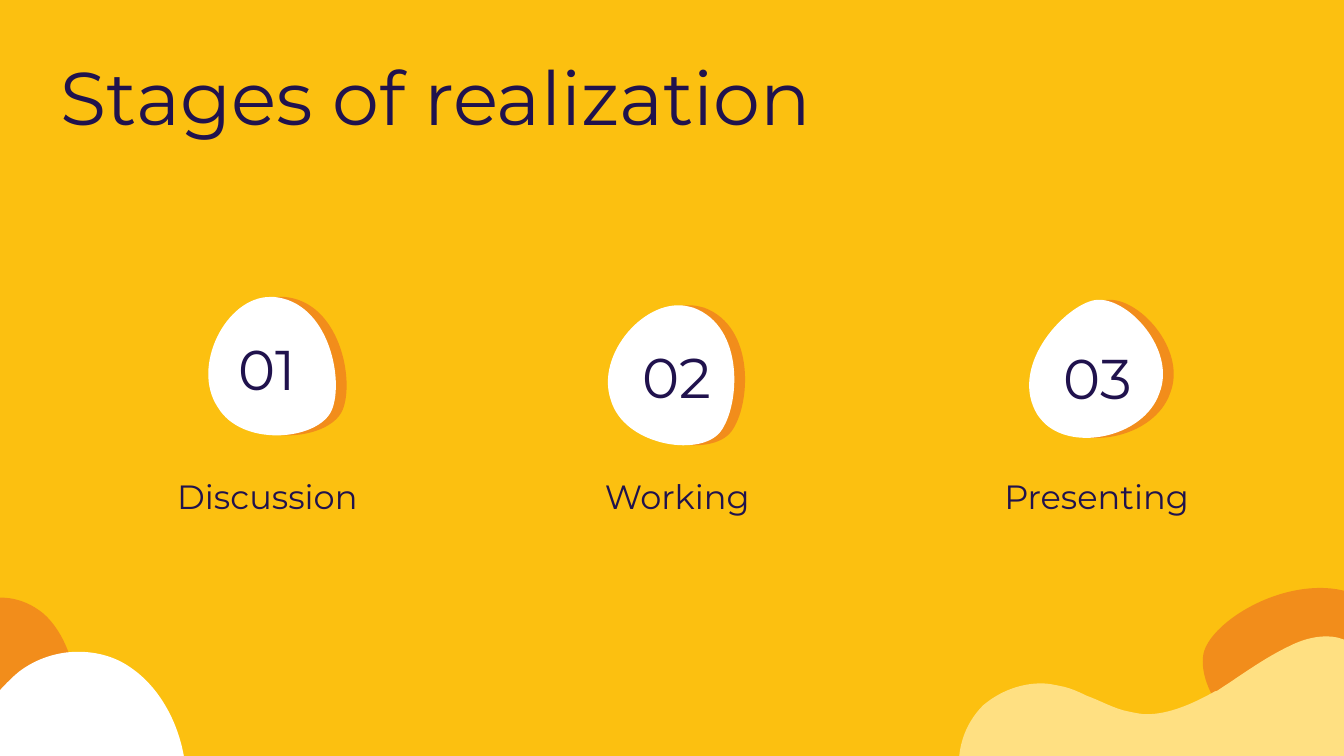
from pptx import Presentation
from pptx import util as u
from pptx.dml.color import RGBColor
from pptx.enum import text
from pptx.oxml.ns import qn

YELLOW = RGBColor(0xFC, 0xC0, 0x10)
ORANGE = RGBColor(0xF2, 0x8D, 0x1B)
CREAM = RGBColor(0xFF, 0xE0, 0x82)
WHITE = RGBColor(0xFF, 0xFF, 0xFF)
NAVY = RGBColor(0x20, 0x12, 0x4D)
FONT = "Montserrat"
WIDTH, HEIGHT = 10, 10 * 9 / 16

TITLE = "Stages of realization"
# number, label, badge centre, badge turn in degrees, number centre, label centre
STAGES = [
    ("01", "Discussion", (1.99, 2.73), 0, (1.99, 2.74), 1.99),
    ("02", "Working", (4.98, 2.78), 14.7, (5.04, 2.8), 5.04),
    ("03", "Presenting", (8.16, 2.82), 232.6, (8.17, 2.81), 8.16),
]
LABEL_MIDDLE = 3.69
BADGE_SHADE = 0.08

# Outlines: a start point, then Bezier curves of two handles and an end point.
# Blobs are measured from their centre, waves from the slide corner.
BADGE = [
    (0.02, -0.52),
    (-0.31, -0.52), (-0.57, 0), (-0.37, 0.3),
    (-0.28, 0.45), (-0.1, 0.51), (0.07, 0.51),
    (0.25, 0.51), (0.43, 0.44), (0.48, 0.32),
    (0.57, 0.1), (0.46, -0.48), (0.05, -0.52),
    (0.04, -0.52), (0.03, -0.52), (0.02, -0.52),
]
RIGHT_BLOB = [
    (0.03, -0.59),
    (-0.46, -0.59), (-0.82, -0.01), (-0.55, 0.35),
    (-0.41, 0.51), (-0.15, 0.59), (0.1, 0.59),
    (0.37, 0.59), (0.63, 0.5), (0.69, 0.37),
    (0.83, 0.11), (0.67, -0.56), (0.06, -0.59),
    (0.05, -0.59), (0.04, -0.59), (0.03, -0.59),
]
LEFT_BLOB = [
    (0.02, -0.65),
    (-0.3, -0.64), (-0.55, 0), (-0.37, 0.38),
    (-0.27, 0.57), (-0.1, 0.65), (0.06, 0.65),
    (0.24, 0.65), (0.41, 0.56), (0.46, 0.41),
    (0.55, 0.13), (0.44, -0.6), (0.04, -0.64),
    (0.03, -0.65), (0.03, -0.65), (0.02, -0.65),
]
RIGHT_WAVE = [
    (7.14, 5.65),
    (7.15, 5.5), (7.21, 5.36), (7.32, 5.25),
    (7.44, 5.15), (7.59, 5.09), (7.75, 5.09),
    (7.8, 5.09), (7.84, 5.1), (7.89, 5.11),
    (7.95, 5.12), (8.02, 5.15), (8.08, 5.18),
    (8.19, 5.22), (8.29, 5.28), (8.4, 5.3),
    (8.45, 5.31), (8.49, 5.32), (8.53, 5.32),
    (8.7, 5.32), (8.88, 5.24), (9.04, 5.15),
    (9.05, 5.15), (9.07, 5.14), (9.08, 5.13),
    (9.25, 5.02), (9.41, 4.9), (9.6, 4.81),
    (9.68, 4.77), (9.77, 4.74), (9.87, 4.74),
    (9.92, 4.74), (9.98, 4.75), (10.03, 4.78),
    (10.12, 4.83), (10.18, 4.93), (10.21, 5.02),
    (10.28, 5.22), (10.29, 5.44), (10.28, 5.65),
]
LEFT_WAVE = [
    (-1.12, 5.71),
    (-1.11, 5.66), (-1.09, 5.62), (-1.06, 5.59),
    (-0.97, 5.49), (-0.83, 5.46), (-0.71, 5.46),
    (-0.59, 5.46), (-0.46, 5.47), (-0.34, 5.42),
    (-0.15, 5.35), (-0.03, 5.14), (0.14, 5),
    (0.27, 4.9), (0.43, 4.85), (0.58, 4.85),
    (0.73, 4.85), (0.87, 4.89), (0.99, 4.98),
    (1.2, 5.13), (1.35, 5.41), (1.38, 5.71),
]
# outline, origin, turn in degrees, fill, edge
CORNERS = [
    (RIGHT_BLOB, (9.72, 4.97), 157.2, ORANGE, None),
    (RIGHT_WAVE, (0, 0), 0, CREAM, CREAM),
    (LEFT_BLOB, (0.13, 5.06), 157.2, ORANGE, None),
    (LEFT_WAVE, (0, 0), 0, WHITE, None),
]


def bend(shape):
    """Join every three straight segments into one cubic Bezier curve."""
    segments = list(shape.element.iter(qn("a:lnTo")))
    for curve, handle, end in zip(segments[::3], segments[1::3], segments[2::3]):
        for segment in (handle, end):
            curve.append(segment[0])
            segment.getparent().remove(segment)
        curve.tag = qn("a:cubicBezTo")


def add_blob(page, outline, origin, degrees, fill, edge=None):
    points = [(u.Inches(origin[0] + x), u.Inches(origin[1] + y)) for x, y in outline]
    builder = page.shapes.build_freeform(*points[0])
    builder.add_line_segments(points[1:], close=True)
    blob = builder.convert_to_shape()
    bend(blob)
    blob.rotation = degrees
    blob.shadow.inherit = False
    blob.fill.solid()
    blob.fill.fore_color.rgb = fill
    if edge is None:
        blob.line.fill.background()
    else:
        blob.line.color.rgb = edge
        blob.line.width = u.Pt(0.75)


def add_text(page, words, left, top, width, height, size,
             align=text.PP_ALIGN.CENTER, anchor=text.MSO_ANCHOR.TOP):
    box = page.shapes.add_textbox(*map(u.Inches, (left, top, width, height)))
    frame = box.text_frame
    frame.word_wrap = True
    frame.vertical_anchor = anchor
    frame.margin_left = frame.margin_right = u.Inches(0.1)
    frame.margin_top = frame.margin_bottom = u.Inches(0.1)
    para = frame.paragraphs[0]
    para.text = words
    para.alignment = align
    para.font.name = FONT
    para.font.size = u.Pt(size)
    para.font.color.rgb = NAVY


def main():
    deck = Presentation()
    deck.slide_width, deck.slide_height = u.Inches(WIDTH), u.Inches(HEIGHT)
    page = deck.slides.add_slide(deck.slide_layouts[6])
    page.background.fill.solid()
    page.background.fill.fore_color.rgb = YELLOW

    for corner in CORNERS:
        add_blob(page, *corner)

    add_text(page, TITLE, 0.35, 0.28, 8, 0.82, 40, align=text.PP_ALIGN.LEFT)

    for number, label, (x, y), degrees, (number_x, number_y), label_x in STAGES:
        for shift, color in ((BADGE_SHADE, ORANGE), (0, WHITE)):
            add_blob(page, BADGE, (x + shift, y), degrees, color)
        add_text(page, number, number_x - 0.75, number_y - 0.3, 1.5, 0.6, 30,
                 anchor=text.MSO_ANCHOR.MIDDLE)
        add_text(page, label, label_x - 0.9, LABEL_MIDDLE - 0.25, 1.8, 0.5, 18)

    deck.save("out.pptx")


if __name__ == "__main__":
    main()
